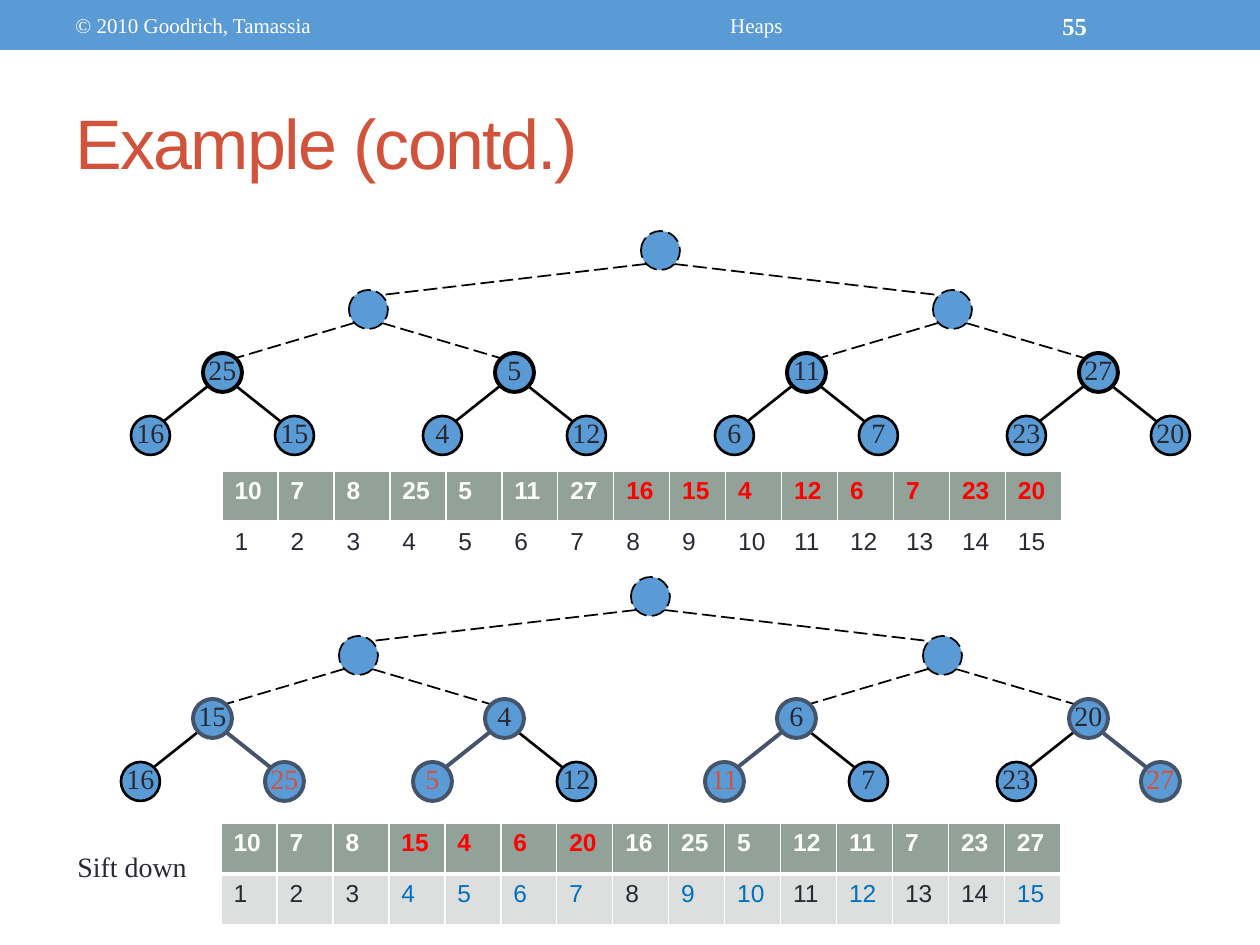
from dataclasses import dataclass

from lxml import etree
from pptx import Presentation
from pptx.dml.color import RGBColor
from pptx.enum.dml import MSO_LINE
from pptx.enum.shapes import MSO_CONNECTOR, MSO_SHAPE
from pptx.enum.text import MSO_ANCHOR, MSO_AUTO_SIZE, PP_ALIGN
from pptx.oxml.ns import qn
from pptx.util import Pt

STRAIGHT = MSO_CONNECTOR.STRAIGHT
OVAL, RECT = MSO_SHAPE.OVAL, MSO_SHAPE.RECTANGLE
LONG_DASH = MSO_LINE.LONG_DASH
MIDDLE, TOP = MSO_ANCHOR.MIDDLE, MSO_ANCHOR.TOP
LEFT, CENTER = PP_ALIGN.LEFT, PP_ALIGN.CENTER

WHITE = RGBColor(0xFF, 0xFF, 0xFF)
BLACK = RGBColor(0x00, 0x00, 0x00)
BLUE = RGBColor(0x5B, 0x9B, 0xD5)
SLATE = RGBColor(0x44, 0x54, 0x6A)
INK = RGBColor(0x29, 0x29, 0x34)
BRICK = RGBColor(0xD2, 0x53, 0x3C)
RED = RGBColor(0xFF, 0x00, 0x00)
INDEX_BLUE = RGBColor(0x00, 0x70, 0xC0)
HEAD_GREY = RGBColor(0x93, 0xA2, 0x99)
ROW_GREY = RGBColor(0xDC, 0xDF, 0xDD)

SERIF, SANS = "Times New Roman", "Arial"
EMU_PER_PX = 914400 / 126
NODE = 39
EDGE_INSET = 14  # offset from a node's centre to its 45-degree point
LEVEL_Y = (0, 59, 122, 185)
SPREAD = (0, 292, 146, 72)
COLUMN, ROW = 56, 51
FIRST_LABELLED = 4


@dataclass(frozen=True)
class Heap:
    """A heap as tree and array; indexes count from 1."""
    root_x: int
    top: int
    table_x: int
    table_y: int
    values: tuple[int, ...]
    red: frozenset[int]
    sifted: frozenset[int] = frozenset()
    index_fill: RGBColor | None = None

    @property
    def touched(self) -> frozenset[int]:
        return self.sifted | {i // 2 for i in self.sifted}


@dataclass(frozen=True)
class Label:
    text: str
    x: int
    y: int
    w: int
    h: int
    size: int
    color: RGBColor = WHITE
    bold: bool = False
    align: PP_ALIGN = LEFT
    anchor: MSO_ANCHOR = MIDDLE
    wrap: bool = True


HEAPS = (
    Heap(660, 231, 222, 471,
         (10, 7, 8, 25, 5, 11, 27, 16, 15, 4, 12, 6, 7, 23, 20),
         red=frozenset(range(8, 16))),
    Heap(650, 577, 221, 823,
         (10, 7, 8, 15, 4, 6, 20, 16, 25, 5, 12, 11, 7, 23, 27),
         red=frozenset(range(4, 8)), sifted=frozenset({9, 10, 12, 15}),
         index_fill=ROW_GREY),
)

LABELS = (
    Label("© 2010 Goodrich, Tamassia", 63, 3, 399, 45, 12),
    Label("Heaps", 473, 3, 567, 45, 12, align=CENTER),
    Label("55", 1050, 3, 147, 45, 14, bold=True),
    Label("Sift down", 65, 843, 135, 45, 16, INK, anchor=TOP, wrap=False),
)


def px(n: int) -> int:
    return round(n * EMU_PER_PX)


def style_run(r, font: str, size: int, color: RGBColor, bold: bool = False) -> None:
    r.font.name, r.font.size, r.font.bold = font, Pt(size), bold
    r.font.color.rgb = color


def set_line(line, color: RGBColor, width: float, dashed: bool) -> None:
    line.color.rgb, line.width = color, Pt(width)
    if dashed:
        line.dash_style = LONG_DASH


def add_label(s, label: Label) -> None:
    sp = s.shapes.add_textbox(px(label.x), px(label.y), px(label.w), px(label.h))
    tf = sp.text_frame
    tf.word_wrap, tf.vertical_anchor = label.wrap, label.anchor
    tf.text = label.text
    p = tf.paragraphs[0]
    p.alignment = label.align
    style_run(p.runs[0], SERIF, label.size, label.color, label.bold)


def level_of(i: int) -> int:
    return i.bit_length() - 1


def node_center(heap: Heap, i: int) -> tuple[int, int]:
    level = level_of(i)
    x = heap.root_x
    for depth in range(1, level + 1):
        goes_right = (i >> (level - depth)) & 1
        x += SPREAD[depth] if goes_right else -SPREAD[depth]
    return x, heap.top + LEVEL_Y[level] + NODE // 2


def add_edge(s, heap: Heap, child: int) -> None:
    px0, py0 = node_center(heap, child // 2)
    cx, cy = node_center(heap, child)
    dx = EDGE_INSET if cx > px0 else -EDGE_INSET
    line = s.shapes.add_connector(STRAIGHT, px(px0 + dx), px(py0 + EDGE_INSET),
                                  px(cx - dx), px(cy - EDGE_INSET))
    dashed = child // 2 < FIRST_LABELLED
    if child in heap.sifted:
        set_line(line.line, SLATE, 2.25, dashed)
    else:
        set_line(line.line, BLACK, 1 if dashed else 1.5, dashed)
    etree.SubElement(line._element.spPr, qn("a:effectLst"))


def add_node(s, heap: Heap, i: int) -> None:
    x, y = node_center(heap, i)
    sp = s.shapes.add_shape(OVAL, px(x - NODE // 2), px(y - NODE // 2), px(NODE), px(NODE))
    sp.shadow.inherit = False
    sp.fill.solid()
    sp.fill.fore_color.rgb = BLUE
    color = SLATE if i in heap.touched else BLACK
    width = 2.25 if i in heap.touched else (1, 1, 2.25, 1.5)[level_of(i)]
    set_line(sp.line, color, width, i < FIRST_LABELLED)
    if i < FIRST_LABELLED:
        return
    tf = sp.text_frame
    tf.margin_left = tf.margin_top = tf.margin_right = 0
    tf.margin_bottom = px(6)
    tf.word_wrap, tf.vertical_anchor = False, MIDDLE
    tf.text = str(heap.values[i - 1])
    p = tf.paragraphs[0]
    p.alignment = CENTER
    style_run(p.runs[0], SERIF, 16, BRICK if i in heap.sifted else INK)


def set_cell(cell, value: int, color: RGBColor, fill: RGBColor | None,
             bold: bool, thick_side: str) -> None:
    """Fill a cell and give it white borders, 3 pt on thick_side."""
    cell.text = str(value)
    style_run(cell.text_frame.paragraphs[0].runs[0], SANS, 14, color, bold)
    tc_pr = cell._tc.get_or_add_tcPr()
    for side in ("lnL", "lnR", "lnT", "lnB"):
        width = Pt(3) if side == thick_side else Pt(0.96)
        ln = etree.SubElement(tc_pr, qn(f"a:{side}"), w=str(width))
        solid = etree.SubElement(ln, qn("a:solidFill"))
        etree.SubElement(solid, qn("a:srgbClr"), val=str(WHITE))
    if fill is None:
        cell.fill.background()
    else:
        cell.fill.solid()
        cell.fill.fore_color.rgb = fill


def add_array(s, heap: Heap) -> None:
    n = len(heap.values)
    table = s.shapes.add_table(2, n, px(heap.table_x), px(heap.table_y),
                               px(COLUMN * n), px(ROW * 2)).table
    table.horz_banding = False
    for row in table.rows:
        row.height = px(ROW)
    for i, value in enumerate(heap.values, 1):
        table.columns[i - 1].width = px(COLUMN)
        set_cell(table.cell(0, i - 1), value, RED if i in heap.red else WHITE,
                 HEAD_GREY, True, "lnB")
        set_cell(table.cell(1, i - 1), i, INDEX_BLUE if i in heap.touched else INK,
                 heap.index_fill, False, "lnT")


def add_heap(s, heap: Heap) -> None:
    indexes = range(1, len(heap.values) + 1)
    for i in indexes[1:]:
        add_edge(s, heap, i)
    for i in indexes:
        add_node(s, heap, i)
    add_array(s, heap)


def set_title(s, text: str) -> None:
    sp = s.shapes.title
    sp.left, sp.top, sp.width, sp.height = px(63), px(73), px(1134), px(136)
    tf = sp.text_frame
    tf.text = text
    tf.auto_size, tf.vertical_anchor = MSO_AUTO_SIZE.NONE, MIDDLE
    p = tf.paragraphs[0]
    p.alignment = LEFT
    r = p.runs[0]
    style_run(r, SANS, 40, BRICK)
    r._r.get_or_add_rPr().set("spc", "-100")


def main() -> None:
    prs = Presentation()
    prs.slide_width, prs.slide_height = px(1260), px(945)
    s = prs.slides.add_slide(prs.slide_layouts[5])
    bar = s.shapes.add_shape(RECT, 0, 0, px(1260), px(50))
    bar.shadow.inherit = False
    bar.fill.solid()
    bar.fill.fore_color.rgb = BLUE
    bar.line.fill.background()
    set_title(s, "Example (contd.)")
    for heap in HEAPS:
        add_heap(s, heap)
    for label in LABELS:
        add_label(s, label)
    prs.save("out.pptx")


if __name__ == "__main__":
    main()
